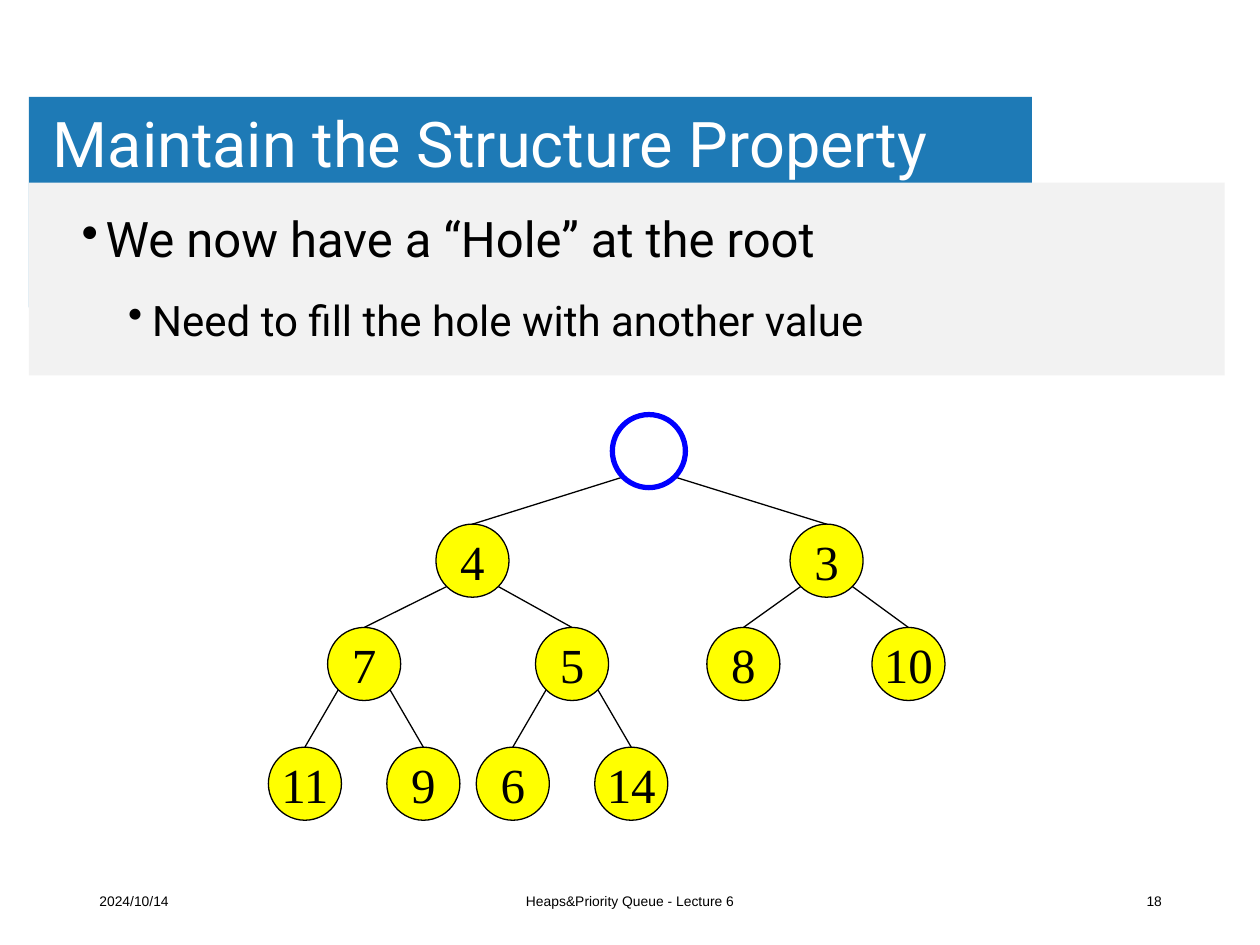
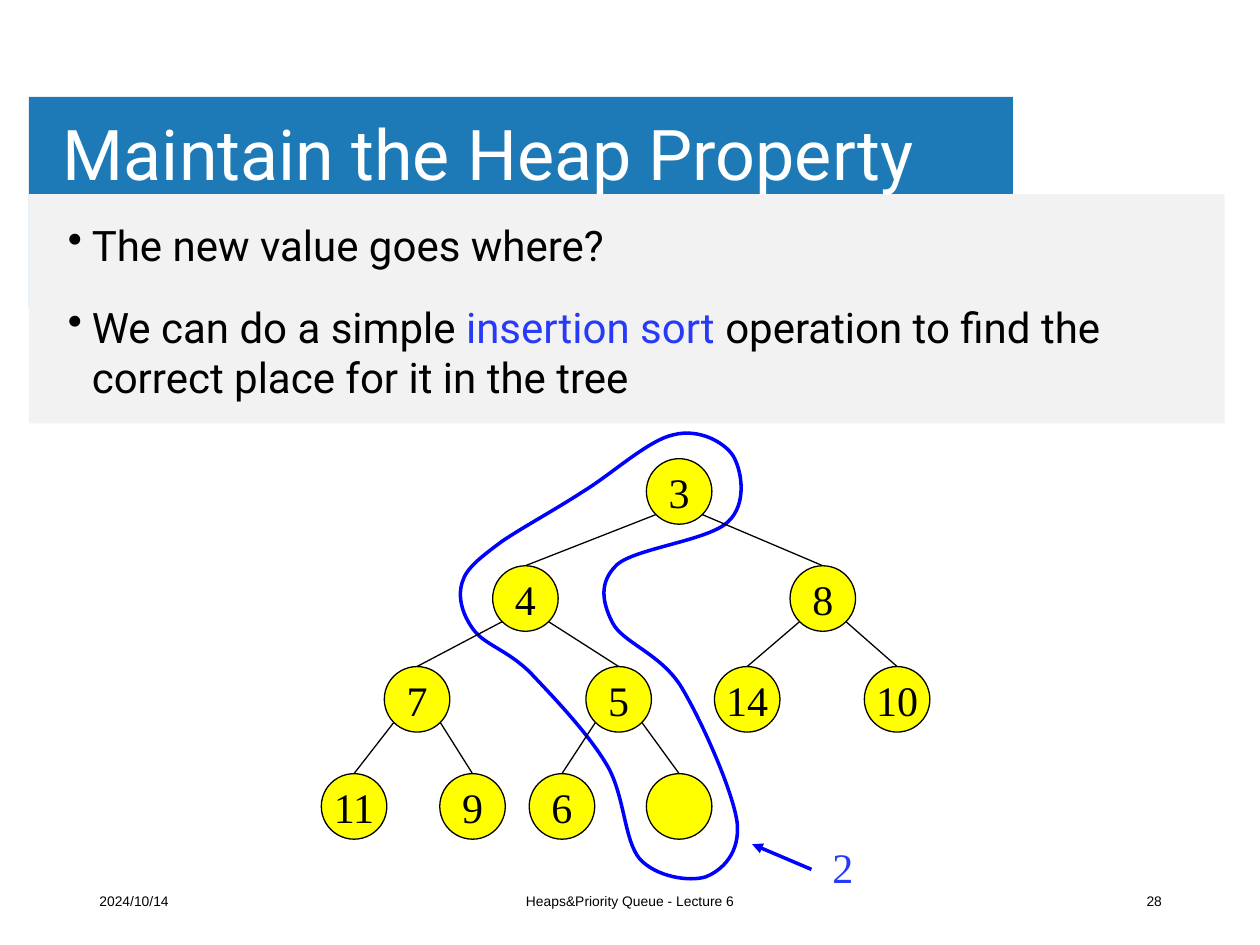
from lxml import etree
from pptx import Presentation
from pptx.dml.color import RGBColor
from pptx.enum.shapes import MSO_CONNECTOR, MSO_SHAPE
from pptx.enum.text import MSO_ANCHOR, PP_ALIGN
from pptx.oxml.ns import qn
from pptx.util import Pt

PX = 9144
RECT, OVAL = MSO_SHAPE.RECTANGLE, MSO_SHAPE.OVAL
LINE = MSO_CONNECTOR.STRAIGHT
TOP, MID = MSO_ANCHOR.TOP, MSO_ANCHOR.MIDDLE
LEFT, MIDDLE, RIGHT = PP_ALIGN.LEFT, PP_ALIGN.CENTER, PP_ALIGN.RIGHT
BAND = RGBColor(0x1E, 0x7A, 0xB6)
PANEL = RGBColor(0xF2, 0xF2, 0xF2)
WHITE = RGBColor(0xFF, 0xFF, 0xFF)
BLACK = RGBColor(0, 0, 0)
YELLOW = RGBColor(0xFF, 0xFF, 0)
BLUE = RGBColor(0, 0, 0xFF)
ACCENT = RGBColor(0x26, 0x3A, 0xF8)
SANS, SERIF, SMALL = "Roboto", "Times New Roman", "Arial"


def write(shape, text, size, font=SANS, color=BLACK, align=LEFT, anchor=MID,
          wrap=True, inset=None, indent=0, lines=1, before=0):
    frame = shape.text_frame
    frame.word_wrap = wrap
    frame.vertical_anchor = anchor
    if inset:
        frame.margin_left = frame.margin_right = inset[0] * PX
        frame.margin_top = frame.margin_bottom = inset[1] * PX
    para = frame.add_paragraph() if frame.text else frame.paragraphs[0]
    if indent:
        props = para._p.get_or_add_pPr()
        props.set("marL", str(indent * PX))
        props.set("indent", str(-19 * PX))
        etree.SubElement(props, qn("a:buChar")).set("char", "•")
    para.alignment = align
    para.line_spacing = float(lines)
    para.space_before = Pt(before)
    for n, part in enumerate(text.split("|")):
        run = para.add_run()
        run.text = part
        run.font.size = Pt(size)
        run.font.name = font
        run.font.color.rgb = ACCENT if n % 2 else color


def join(slide, ends, color, width):
    link = slide.shapes.add_connector(LINE, *[round(v * PX) for v in ends])
    link.line.color.rgb = color
    link.line.width = Pt(width)
    etree.SubElement(link._element.spPr, qn("a:effectLst"))
    return link


deck = Presentation()
deck.slide_width, deck.slide_height = 1000 * PX, 750 * PX

pages = [
    dict(title="Maintain the Structure Property", size=36, spot=(35, 68, 882, 98),
         band=796, panel=(145, 153), number="18", body=(55, 166, 883, 138), lines=0.9,
         points=[("We now have a “Hole” at the root", 28, 19),
                 ("Need to fill the hole with another value", 24, 56)],
         keys=["", "4", "3", "7", "5", "8", "10", "11", "9", "6", "14"],
         mids=[515, 375, 656, 289, 454, 590, 721, 242, 336, 407, 501],
         tops=[329, 416, 498, 593], disc=58, type=28),
    dict(title="Maintain the Heap Property", size=40, spot=(43, 76, 803, 98),
         band=781, panel=(154, 182), number="28", body=(44, 169, 901, 173), lines=1,
         points=[("The new value goes where?", 24, 19),
                 ("We can do a simple |insertion sort |operation to find the "
                  "correct place for it in the tree", 24, 19)],
         keys=["3", "4", "8", "7", "5", "14", "10", "11", "9", "6", ""],
         mids=[539, 417, 653, 331, 491, 593, 712, 281, 375, 446, 539],
         tops=[364, 449, 529, 614], disc=52, type=24),
]
loop = [
    (582, 362), (575, 351), (555, 340), (535, 345), (515, 349), (486, 376), (463, 390),
    (440, 405), (414, 419), (398, 430), (382, 442), (370, 451), (367, 462),
    (363, 474), (367, 488), (376, 500), (385, 512), (403, 516), (421, 534),
    (438, 552), (466, 581), (481, 606), (496, 630), (495, 667), (508, 682),
    (521, 696), (547, 700), (560, 696), (573, 691), (588, 677), (585, 652),
    (581, 626), (556, 570), (540, 544), (523, 518), (494, 510), (486, 494),
    (478, 478), (475, 462), (490, 448), (505, 435), (563, 429), (578, 414),
    (593, 400), (589, 374), (582, 362),
]

for page in pages:
    slide = deck.slides.add_slide(deck.slide_layouts[6])
    shapes = slide.shapes
    top, high = page["panel"]
    for box, fill in [((23, 77, page["band"], 167), BAND), ((23, top, 949, high), PANEL)]:
        rect = shapes.add_shape(RECT, *[v * PX for v in box])
        rect.shadow.inherit = False
        rect.fill.solid()
        rect.fill.fore_color.rgb = fill
        rect.line.fill.background()

    title = shapes.add_textbox(*[v * PX for v in page["spot"]])
    write(title, page["title"], page["size"], color=WHITE, inset=(7, 4), lines=0.9)
    for left, wide, text, align in [(69, 225, "2024/10/14", LEFT),
                                    (331, 338, "Heaps&Priority Queue - Lecture 6", MIDDLE),
                                    (707, 225, page["number"], RIGHT)]:
        foot = shapes.add_textbox(left * PX, 695 * PX, wide * PX, 40 * PX)
        write(foot, text, 7.9, font=SMALL, align=align)

    body = shapes.add_textbox(*[v * PX for v in page["body"]])
    for n, (text, size, indent) in enumerate(page["points"]):
        write(body, text, size, anchor=TOP, indent=indent, lines=page["lines"],
              before=18 if n else 0)

    if page is pages[1]:
        pen = shapes.build_freeform(*loop[0], scale=PX)
        pen.add_line_segments(loop[1:], close=True)
        curve = pen.convert_to_shape()
        curve.shadow.inherit = False
        curve.fill.background()
        curve.line.color.rgb = BLUE
        curve.line.width = Pt(2)
        steps = list(curve._element.iter(qn("a:lnTo")))
        for n in range(0, len(steps), 3):
            bend = etree.Element(qn("a:cubicBezTo"))
            steps[n].addprevious(bend)
            for step in steps[n:n + 3]:
                bend.append(step[0])
                step.getparent().remove(step)

        arrow = join(slide, (644, 690, 597, 670), BLUE, 2)
        etree.SubElement(arrow.line._get_or_add_ln(), qn("a:tailEnd")).set("type", "triangle")
        label = shapes.add_textbox(643 * PX, 662 * PX, 52 * PX, 52 * PX)
        write(label, "2", 24, font=SERIF, color=ACCENT, align=MIDDLE, wrap=False)

    disc, mids = page["disc"], page["mids"]
    rows = [page["tops"][(n + 1).bit_length() - 1] for n in range(len(mids))]
    reach = disc / 2 * 0.71
    for n in range(1, len(mids)):
        up = (n - 1) // 2
        side = reach if n % 2 == 0 else -reach
        join(slide, (mids[up] + side, rows[up] + disc / 2 + reach, mids[n], rows[n]), BLACK, 0.75)

    for n, (key, mid, row) in enumerate(zip(page["keys"], mids, rows)):
        node = shapes.add_shape(OVAL, (mid - disc // 2) * PX, row * PX, disc * PX, disc * PX)
        node.shadow.inherit = False
        hole = n == 0 and not key
        if hole:
            node.fill.background()
        else:
            node.fill.solid()
            node.fill.fore_color.rgb = YELLOW
        node.line.color.rgb = BLUE if hole else BLACK
        node.line.width = Pt(3 if hole else 0.75)
        if key:
            write(node, key, page["type"], font=SERIF, align=MIDDLE, wrap=False)

deck.save("out.pptx")
